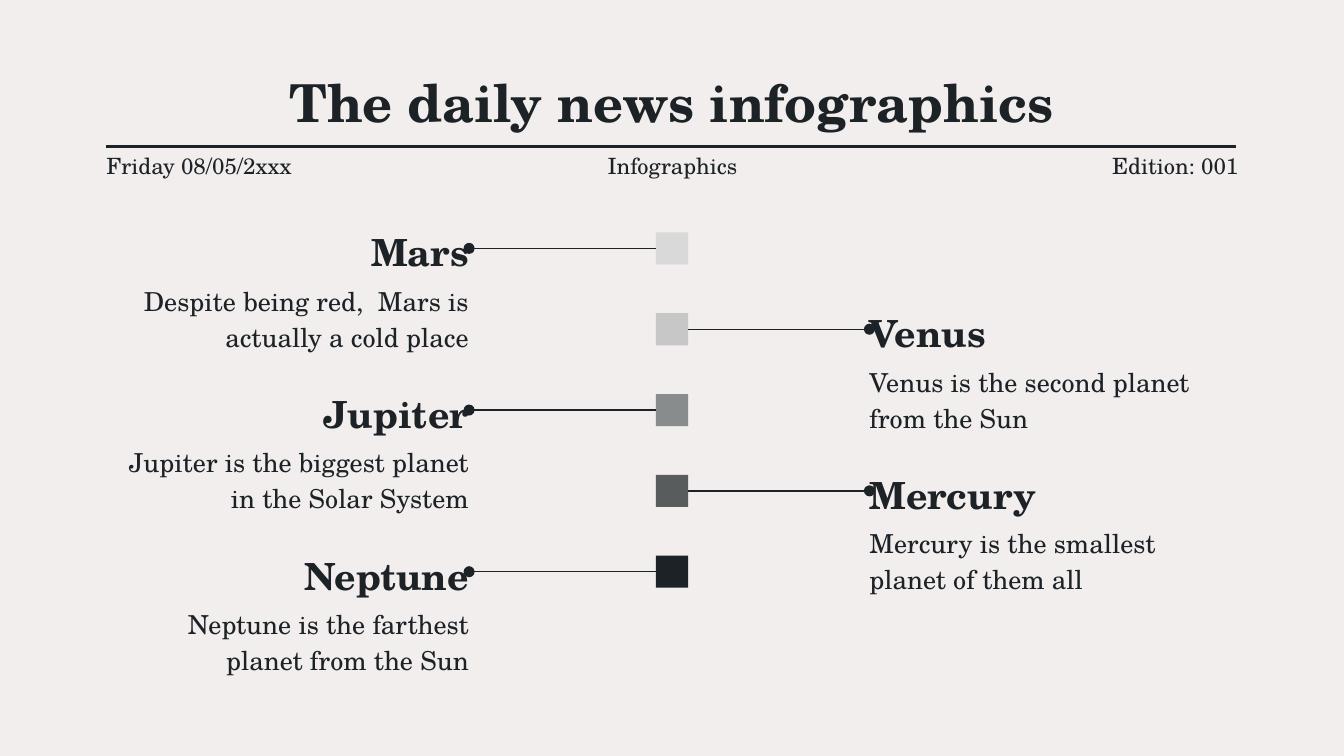
from pptx import Presentation
from pptx.dml.color import RGBColor
from pptx.enum.shapes import MSO_CONNECTOR, MSO_SHAPE
from pptx.enum.text import MSO_ANCHOR, PP_ALIGN
from pptx.oxml.ns import qn
from pptx.util import Pt
from lxml import etree

LEFT, CENTER, RIGHT = PP_ALIGN.LEFT, PP_ALIGN.CENTER, PP_ALIGN.RIGHT
TOP, MIDDLE, BOTTOM = MSO_ANCHOR.TOP, MSO_ANCHOR.MIDDLE, MSO_ANCHOR.BOTTOM
STRAIGHT, ELBOW = MSO_CONNECTOR.STRAIGHT, MSO_CONNECTOR.ELBOW
RECTANGLE = MSO_SHAPE.RECTANGLE

FONT = "TeX Gyre Schola"
INK, PAPER = "1C2226", "F1EEED"

# Name, description, marker colour; entries alternate left and right
PLANETS = [
    ("Mars", "Despite being red,  Mars is actually a cold place", "D9D9D9"),
    ("Venus", "Venus is the second planet from the Sun", "C7C7C7"),
    ("Jupiter", "Jupiter is the biggest planet in the Solar System", "888C8C"),
    ("Mercury", "Mercury is the smallest planet of them all", "595C5C"),
    ("Neptune", "Neptune is the farthest planet from the Sun", INK),
]


def paint(color_format, color):
    color_format.rgb = RGBColor.from_string(color)


def add_text(page, text, left, top, width, height, size, align=LEFT,
             anchor=MIDDLE, bold=False, spacing=None):
    box = page.shapes.add_textbox(Pt(left), Pt(top), Pt(width), Pt(height))
    frame = box.text_frame
    frame.word_wrap = True
    frame.vertical_anchor = anchor
    frame.margin_left = frame.margin_right = 0
    frame.margin_top = frame.margin_bottom = 0
    para = frame.paragraphs[0]
    para.text = text
    para.alignment = align
    if spacing:
        para.line_spacing = spacing
    para.font.name = FONT
    para.font.size = Pt(size)
    para.font.bold = bold
    paint(para.font.color, INK)


def add_line(page, kind, start, end, y, weight, dot=False):
    line = page.shapes.add_connector(kind, Pt(start), Pt(y), Pt(end), Pt(y))
    line.line.width = Pt(weight)
    paint(line.line.color, INK)
    if dot:
        head = etree.SubElement(line.line._get_or_add_ln(), qn("a:headEnd"))
        head.set("type", "oval")
    etree.SubElement(line._element.spPr, qn("a:effectLst"))


def add_masthead(page, left, top, width):
    add_text(page, "The daily news infographics", left, top, width, 33, 28,
             CENTER, bold=True)
    add_line(page, STRAIGHT, left, left + width, top + 40.4, 1.5)

    # Three equal cells under the rule
    labels = [("Friday 08/05/2xxx", LEFT), ("Infographics", CENTER),
              ("Edition: 001", RIGHT)]
    cell = 121.5
    gap = (width + 1.2 - 3 * cell) / 2
    for index, (label, align) in enumerate(labels):
        add_text(page, label, left + index * (cell + gap), top + 44,
                 cell, 13.7, 12, align)


def add_planets(page, left, top, width):
    marker, step = 17.2, 43.3
    left_width, right_width = 193.7, 196.6
    middle = left + width / 2
    for index, (name, description, color) in enumerate(PLANETS):
        y = top + index * step
        on_left = index % 2 == 0
        if on_left:
            text_left, text_width, align = left, left_width, RIGHT
            text_edge, marker_edge = left + left_width, middle - marker / 2
        else:
            text_left, text_width, align = left + width - right_width, right_width, LEFT
            text_edge, marker_edge = text_left, middle + marker / 2

        # Name and description
        add_text(page, name, text_left, y, text_width, 27.4, 20, align,
                 BOTTOM, True, 1.15)
        add_text(page, description, text_left, y + 30.8, text_width, 38.9, 14,
                 align, TOP, spacing=1.15)

        # Marker on the centre line, joined to the name
        square = page.shapes.add_shape(RECTANGLE, Pt(middle - marker / 2),
                                       Pt(y + 5), Pt(marker), Pt(marker))
        square.shadow.inherit = False
        square.fill.solid()
        paint(square.fill.fore_color, color)
        square.line.fill.background()
        add_line(page, ELBOW, text_edge, marker_edge, y + 5 + marker / 2,
                 0.75, dot=True)


def main():
    deck = Presentation()
    deck.slide_width, deck.slide_height = Pt(720), Pt(405)
    page = deck.slides.add_slide(deck.slide_layouts[6])
    page.background.fill.solid()
    paint(page.background.fill.fore_color, PAPER)
    add_masthead(page, 57, 38.1, 605.4)
    add_planets(page, 57.6, 119.5, 604.8)
    deck.save("out.pptx")


if __name__ == "__main__":
    main()
